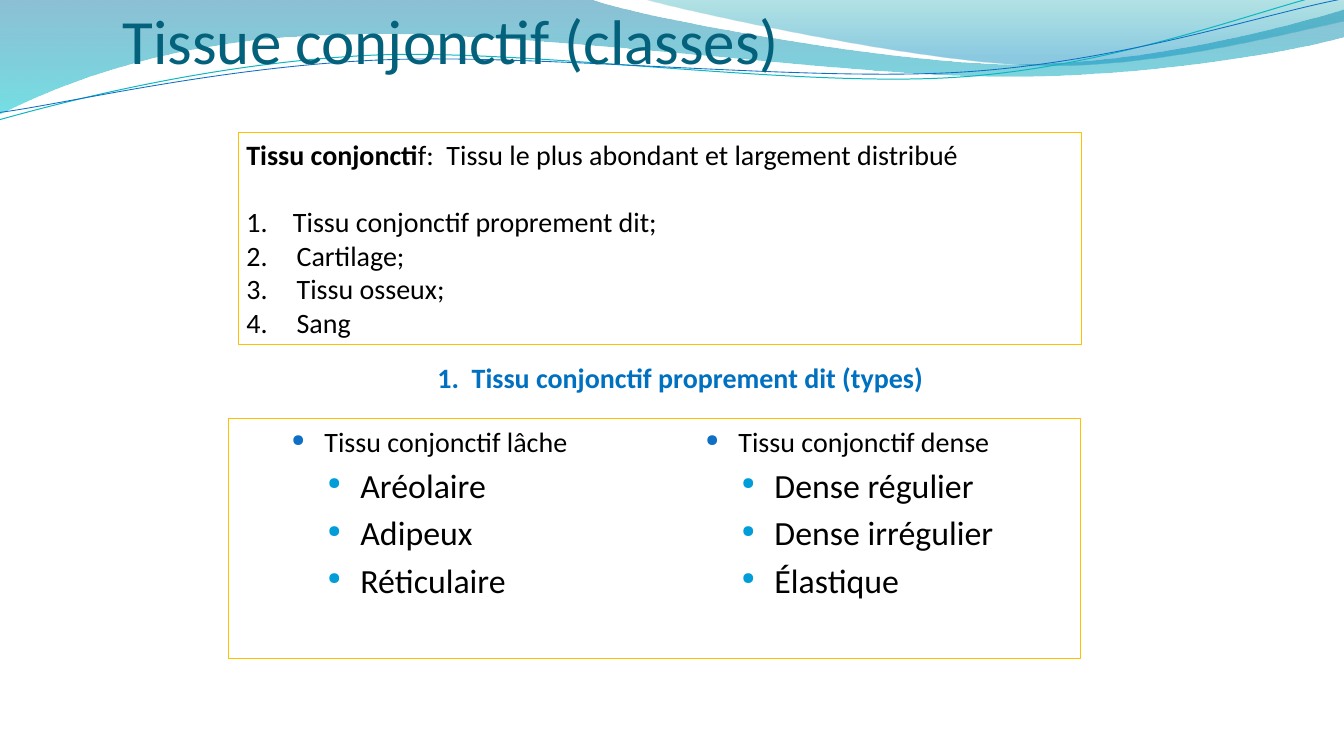
from lxml import etree
from pptx import Presentation
from pptx.dml.color import RGBColor
from pptx.enum.shapes import MSO_SHAPE
from pptx.enum.text import MSO_ANCHOR, PP_ALIGN
from pptx.oxml.ns import qn
from pptx.util import Cm, Pt

RECTANGLE = MSO_SHAPE.RECTANGLE
TOP, BOTTOM = MSO_ANCHOR.TOP, MSO_ANCHOR.BOTTOM
LEFT, CENTER = PP_ALIGN.LEFT, PP_ALIGN.CENTER

TITLE_TEAL = RGBColor(0x04, 0x61, 0x7B)
HEADING_BLUE = RGBColor(0x00, 0x70, 0xC0)
BLACK = RGBColor(0x00, 0x00, 0x00)
GOLD = RGBColor(0xFF, 0xC0, 0x00)
DEEP_BLUE = RGBColor(0x00, 0x74, 0xA1)
CYAN = RGBColor(0x00, 0xC6, 0xCF)
DEEP_TEAL = RGBColor(0x00, 0xA1, 0xA9)
SKY_BLUE = RGBColor(0x00, 0x8B, 0xBF)
LINE_TEAL = RGBColor(0x0A, 0xB8, 0xBF)
CLASS_BLUE = RGBColor(0x0F, 0x6F, 0xC6)
TYPE_BLUE = RGBColor(0x00, 0x9D, 0xD9)

INCH = 2.54  # wave points are in inches


def draw_wave(start, steps, closed):
    """Each step is a line to one point or a curve through three."""
    points = [(Cm(x * INCH), Cm(y * INCH)) for step in [(start,), *steps] for x, y in step]
    builder = slide.shapes.build_freeform(*points[0])
    builder.add_line_segments(points[1:], close=closed)
    wave = builder.convert_to_shape()
    wave.shadow.inherit = False
    segments = iter(list(wave.element.iter(qn("a:lnTo"))))
    for step in steps:
        segment = next(segments)
        if len(step) == 3:
            curve = etree.Element(qn("a:cubicBezTo"))
            segment.addprevious(curve)
            for part in (segment, next(segments), next(segments)):
                curve.append(part[0])
                part.getparent().remove(part)
    return wave


def format_all(target, values):
    for name, value in values.items():
        setattr(target, name, value)


prs = Presentation()
prs.slide_width, prs.slide_height = Cm(40.64), Cm(22.86)
slide = prs.slides.add_slide(prs.slide_layouts[6])

# Wave bands: start, steps, then gradient stops as position, colour, opacity
bands = [
    ((0, -0.01),
     [((7.04, -0.01),),
      ((7.61, 0.2), (10.62, 0.76), (12.13, 0.76)),
      ((13.65, 0.76), (15.33, 0.31), (16, 0.11)),
      ((16.02, 0.43),),
      ((15.73, 0.53), (13.92, 0.91), (11.93, 0.91)),
      ((9.95, 0.9), (6.11, 0.33), (4.12, 0.41)),
      ((2.07, 0.43), (0.73, 0.99), (-0.02, 1.36)),
      ((0, -0.01),)],
     [(0, DEEP_BLUE, 45), (1, CYAN, 55)]),
    ((7.67, -0.01),
     [((8.15, 0.13), (10.91, 0.74), (12.3, 0.78)),
      ((13.69, 0.83), (15.38, 0.38), (16, 0.25)),
      ((16, 0),),
      ((7.67, -0.01),)],
     [(0, DEEP_TEAL, 30), (0.8, SKY_BLUE, 45)]),
]
for start, steps, stops in bands:
    band = draw_wave(start, steps, True)
    band.line.fill.background()
    band.fill.gradient()
    band.fill.gradient_angle = 270
    for stop, (position, colour, opacity) in zip(band.fill.gradient_stops, stops):
        stop.position = position
        stop.color.rgb = colour
    for colour_xml, (_, _, opacity) in zip(band.element.iter(qn("a:srgbClr")), stops):
        etree.SubElement(colour_xml, qn("a:alpha"), val=str(opacity * 1000))

# Thin wave lines, slightly turned
wave_lines = [
    ((-0.04, 1.05),
     [((0.75, 0.87), (2.53, 0.49), (4.44, 0.49)),
      ((6.34, 0.5), (9.45, 1.12), (11.39, 1.08)),
      ((13.31, 1.04), (15.04, 0.43), (16, 0.26))], LINE_TEAL, 0.85),
    ((-0.02, 0.96),
     [((0.73, 0.9), (2.62, 0.54), (4.53, 0.55)),
      ((6.45, 0.56), (9.54, 1.05), (11.45, 1.02)),
      ((13.37, 0.99), (15.08, 0.49), (16.03, 0.36))], CLASS_BLUE, 0.75),
]
for start, steps, colour, width in wave_lines:
    wave_line = draw_wave(start, steps, False)
    wave_line.rotation = 357.3
    wave_line.fill.background()
    wave_line.line.color.rgb = colour
    wave_line.line.width = Pt(width)

# Title and section heading
headings = [
    ("Tissue conjonctif (classes)", (0.5, 0, 26.28, 2.34), BOTTOM, 0,
     {"size": Pt(54), "bold": False}, TITLE_TEAL),
    ("1.  Tissu conjonctif proprement dit (types)", (12.01, 10.77, 17.12, 1.27), TOP, 0.13,
     {"size": Pt(24), "bold": True}, HEADING_BLUE),
]
for text, place, anchor, inset, font_format, colour in headings:
    frame = slide.shapes.add_textbox(*map(Cm, place)).text_frame
    format_all(frame, {"word_wrap": True, "vertical_anchor": anchor, "margin_left": 0,
                       "margin_right": 0, "margin_top": Cm(inset), "margin_bottom": Cm(inset)})
    paragraph = frame.paragraphs[0]
    paragraph.text = text
    paragraph.alignment = CENTER
    format_all(paragraph.font, {"name": "Calibri", **font_format})
    paragraph.font.color.rgb = colour

# Gold frames: place, then left, top, right and bottom insets
frames = []
for place, insets in [((6.91, 12.65, 25.76, 7.27), (0.36, 0.18, 0.36, 0.95)),
                      ((7.2, 4.01, 25.5, 6.41), (0.25, 0.14, 0.25, 0.13))]:
    box = slide.shapes.add_shape(RECTANGLE, *map(Cm, place))
    box.shadow.inherit = False
    box.fill.background()
    box.line.color.rgb = GOLD
    box.line.width = Pt(0.75)
    sides = ("margin_left", "margin_top", "margin_right", "margin_bottom")
    format_all(box.text_frame, {"word_wrap": True, "vertical_anchor": TOP,
                                **dict(zip(sides, map(Cm, insets)))})
    frames.append(box.text_frame)
types_frame, classes_frame = frames

# Types of connective tissue, in two columns
types_frame._txBody.bodyPr.set("numCol", "2")
tissue_types = {
    "Tissu conjonctif lâche": ["Aréolaire", "Adipeux", "Réticulaire"],
    "Tissu conjonctif dense": ["Dense régulier", "Dense irrégulier", "Élastique"],
}
type_lines = []
for family, members in tissue_types.items():
    type_lines.append((family, 0, 2.54, 24, CLASS_BLUE, 60))
    type_lines += [(member, 1, 3.63, 29, TYPE_BLUE, 50) for member in members]
for index, (text, level, indent, size, bullet_colour, bullet_size) in enumerate(type_lines):
    paragraph = types_frame.add_paragraph() if index else types_frame.paragraphs[0]
    paragraph.text = text
    properties = paragraph._p.get_or_add_pPr()
    properties.set("marL", str(Cm(indent)))
    properties.set("indent", str(Cm(-0.99)))
    bullet_fill = etree.SubElement(properties, qn("a:buClr"))
    etree.SubElement(bullet_fill, qn("a:srgbClr"), val=str(bullet_colour))
    etree.SubElement(properties, qn("a:buSzPct"), val=str(bullet_size * 1000))
    etree.SubElement(properties, qn("a:buChar"), char="●")
    format_all(paragraph, {"alignment": LEFT, "level": level,
                           "space_before": Pt(size * 0.2 if index else 0)})
    format_all(paragraph.font, {"name": "Calibri", "size": Pt(size)})
    paragraph.font.color.rgb = BLACK

# Definition and numbered classes
definition = classes_frame.paragraphs[0]
for text, bold in [("Tissu conjoncti", True),
                   ("f:  Tissu le plus abondant et largement distribué", False)]:
    run = definition.add_run()
    run.text = text
    run.font.bold = bold
for number, text in enumerate(["1.\tTissu conjonctif proprement dit;",
                               "Cartilage;", "Tissu osseux;", "Sang"], 1):
    paragraph = classes_frame.add_paragraph()
    paragraph.text = text
    indent = Cm(1.41 if number == 1 else 1.52)
    properties = paragraph._p.get_or_add_pPr()
    properties.set("marL", str(indent))
    properties.set("indent", str(-indent))
    if number == 1:
        paragraph.space_before = Pt(28.8)
    else:
        etree.SubElement(properties, qn("a:buAutoNum"), type="arabicPeriod", startAt="2")
for paragraph in classes_frame.paragraphs:
    paragraph.alignment = LEFT
    format_all(paragraph.font, {"name": "Calibri", "size": Pt(24)})
    paragraph.font.color.rgb = BLACK

prs.save("out.pptx")
